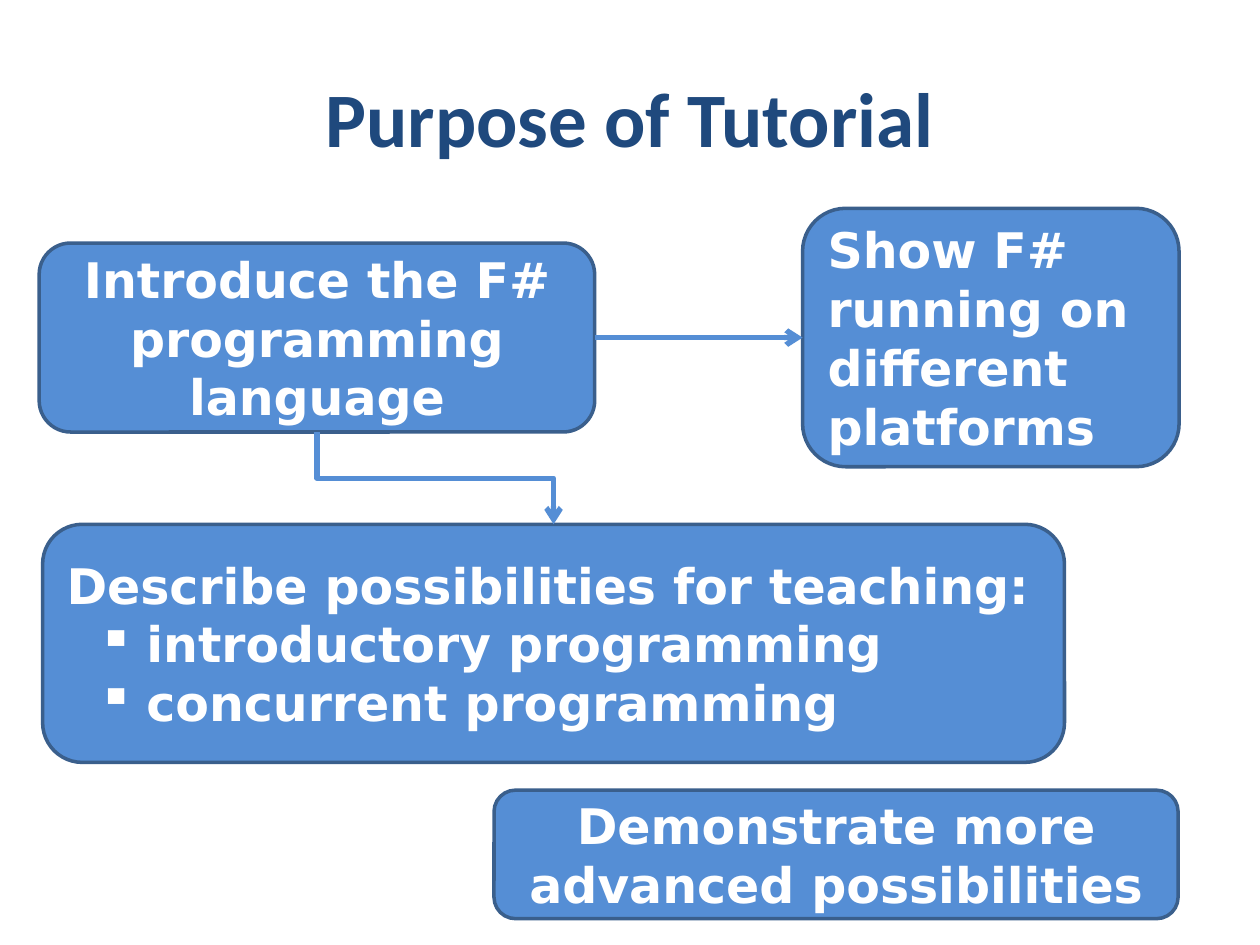
from dataclasses import dataclass

from lxml import etree
from pptx import Presentation
from pptx.dml.color import RGBColor
from pptx.enum.shapes import MSO_CONNECTOR, MSO_SHAPE
from pptx.enum.text import MSO_ANCHOR, PP_ALIGN
from pptx.oxml.ns import qn
from pptx.util import Cm, Pt

ROUNDED = MSO_SHAPE.ROUNDED_RECTANGLE
STRAIGHT, ELBOW = MSO_CONNECTOR.STRAIGHT, MSO_CONNECTOR.ELBOW
LEFT, CENTER = PP_ALIGN.LEFT, PP_ALIGN.CENTER
MIDDLE = MSO_ANCHOR.MIDDLE
TOP_SIDE, LEFT_SIDE, BOTTOM_SIDE, RIGHT_SIDE = range(4)


@dataclass(frozen=True)
class Theme:
    title: RGBColor = RGBColor.from_string("1F497D")
    fill: RGBColor = RGBColor.from_string("558ED5")
    outline: RGBColor = RGBColor.from_string("3A5F8C")
    text: RGBColor = RGBColor.from_string("FFFFFF")
    title_font: str = "Calibri"
    body_font: str = "DejaVu Sans"
    title_size: int = 44
    body_size: int = 28
    outline_width: int = 2
    arrow_width: int = 3


THEME = Theme()
TITLE = ("Purpose of Tutorial", (1.27, 0.76, 22.86, 3.18))
# name: (left, top, width, height in cm), alignment, lead text, bullets
BOXES = {
    "introduce": ((0.79, 4.9, 11.2, 3.81), CENTER,
                  "Introduce the F# programming language", []),
    "platforms": ((16.18, 4.2, 7.59, 5.21), LEFT,
                  "Show F# running on different platforms", []),
    "teaching": ((0.86, 10.57, 20.6, 4.8), LEFT,
                 "Describe possibilities for teaching:",
                 ["introductory programming", "concurrent programming"]),
    "advanced": ((9.96, 15.93, 13.79, 2.59), CENTER,
                 "Demonstrate more advanced possibilities", []),
}
ARROWS = [
    (STRAIGHT, "introduce", RIGHT_SIDE, "platforms", LEFT_SIDE),
    (ELBOW, "introduce", BOTTOM_SIDE, "teaching", TOP_SIDE),
]
BULLET = "▪"
BULLET_MARGIN, BULLET_HANG = Cm(1.61), Cm(0.98)


def format_font(font, **values):
    color = values.pop("color")
    for name, value in values.items():
        setattr(font, name, value)
    font.color.rgb = color


def add_bullet(para):
    props = para._p.get_or_add_pPr()
    props.set("marL", str(BULLET_MARGIN))
    props.set("indent", str(-BULLET_HANG))
    etree.SubElement(props, qn("a:buChar")).set("char", BULLET)
    para.level = 1


def place_title(slide):
    text, position = TITLE
    title = slide.shapes.title
    title.left, title.top, title.width, title.height = map(Cm, position)
    frame = title.text_frame
    frame.vertical_anchor = MIDDLE
    para = frame.paragraphs[0]
    para.alignment = CENTER
    span = para.add_run()
    span.text = text
    format_font(span.font, name=THEME.title_font, size=Pt(THEME.title_size),
                bold=True, color=THEME.title)


def add_box(slide, position, alignment, lead, bullets):
    box = slide.shapes.add_shape(ROUNDED, *map(Cm, position))
    box.shadow.inherit = False
    box.fill.solid()
    box.fill.fore_color.rgb = THEME.fill
    box.line.color.rgb = THEME.outline
    box.line.width = Pt(THEME.outline_width)
    frame = box.text_frame
    frame.word_wrap = True
    frame.vertical_anchor = MIDDLE
    for index, text in enumerate([lead, *bullets]):
        para = frame.add_paragraph() if index else frame.paragraphs[0]
        para.alignment = alignment
        if index:
            add_bullet(para)
        span = para.add_run()
        span.text = text
        format_font(span.font, name=THEME.body_font, size=Pt(THEME.body_size),
                    bold=True, color=THEME.text)
    return box


def turn_downward(arrow):
    """Make an elbow leave and arrive vertically: a quarter turn, mirrored."""
    left, top, width, height = arrow.left, arrow.top, arrow.width, arrow.height
    arrow.left = left + (width - height) // 2
    arrow.top = top + (height - width) // 2
    arrow.width, arrow.height = height, width
    frame = arrow._element.spPr.find(qn("a:xfrm"))
    frame.set("rot", str(270 * 60000))
    frame.set("flipH", "1")


def add_arrow(slide, kind, start, start_side, end, end_side):
    arrow = slide.shapes.add_connector(kind, 0, 0, 0, 0)
    arrow.begin_connect(start, start_side)
    arrow.end_connect(end, end_side)
    if kind == ELBOW:
        turn_downward(arrow)
    arrow.line.color.rgb = THEME.fill
    arrow.line.width = Pt(THEME.arrow_width)
    etree.SubElement(arrow.line._get_or_add_ln(), qn("a:tailEnd")).set("type", "arrow")
    etree.SubElement(arrow._element.spPr, qn("a:effectLst"))


def main():
    deck = Presentation()
    deck.slide_width, deck.slide_height = Cm(25.4), Cm(19.05)
    slide = deck.slides.add_slide(deck.slide_layouts[5])
    place_title(slide)
    boxes = {name: add_box(slide, *content) for name, content in BOXES.items()}
    for kind, start, start_side, end, end_side in ARROWS:
        add_arrow(slide, kind, boxes[start], start_side, boxes[end], end_side)
    deck.save("out.pptx")


if __name__ == "__main__":
    main()
